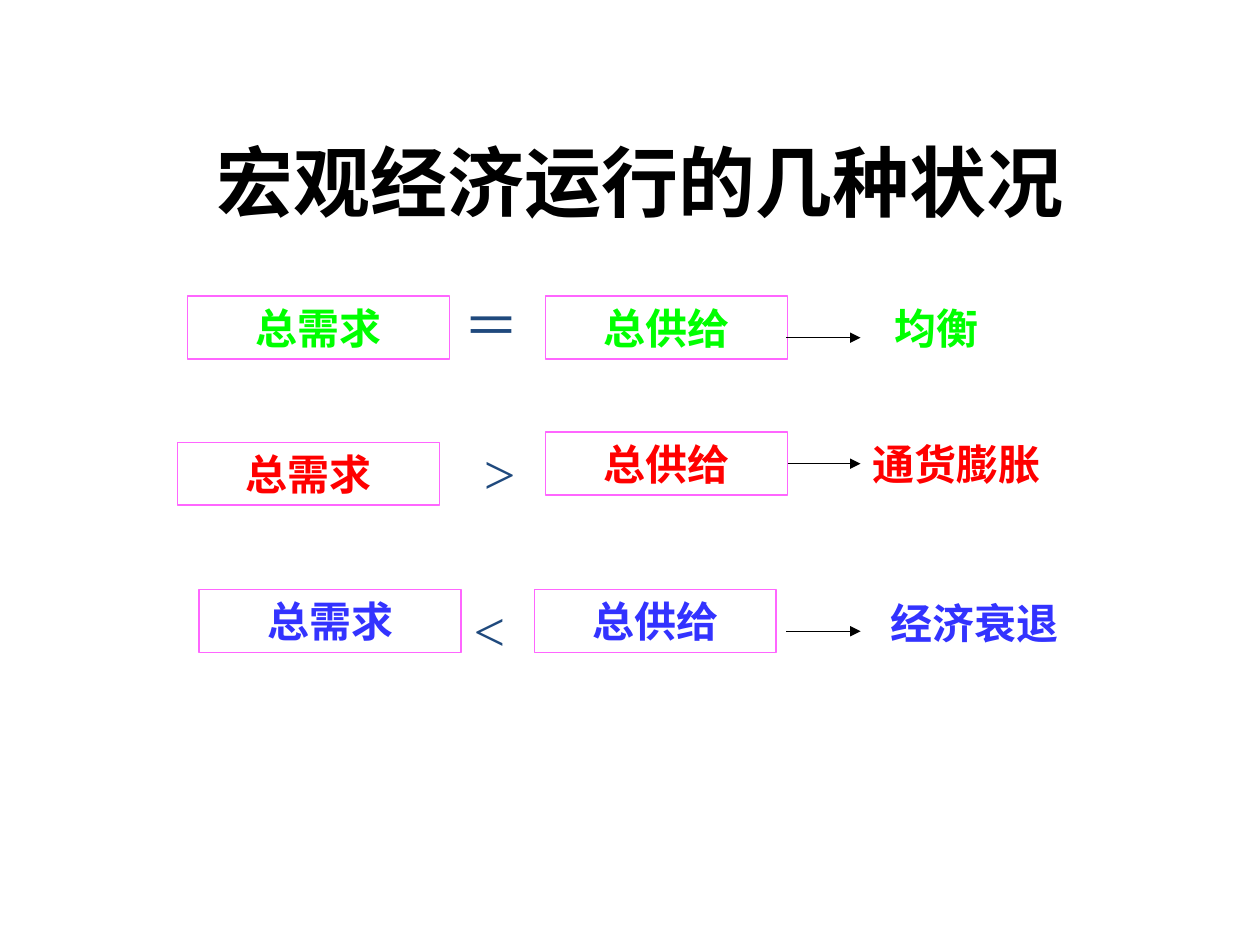
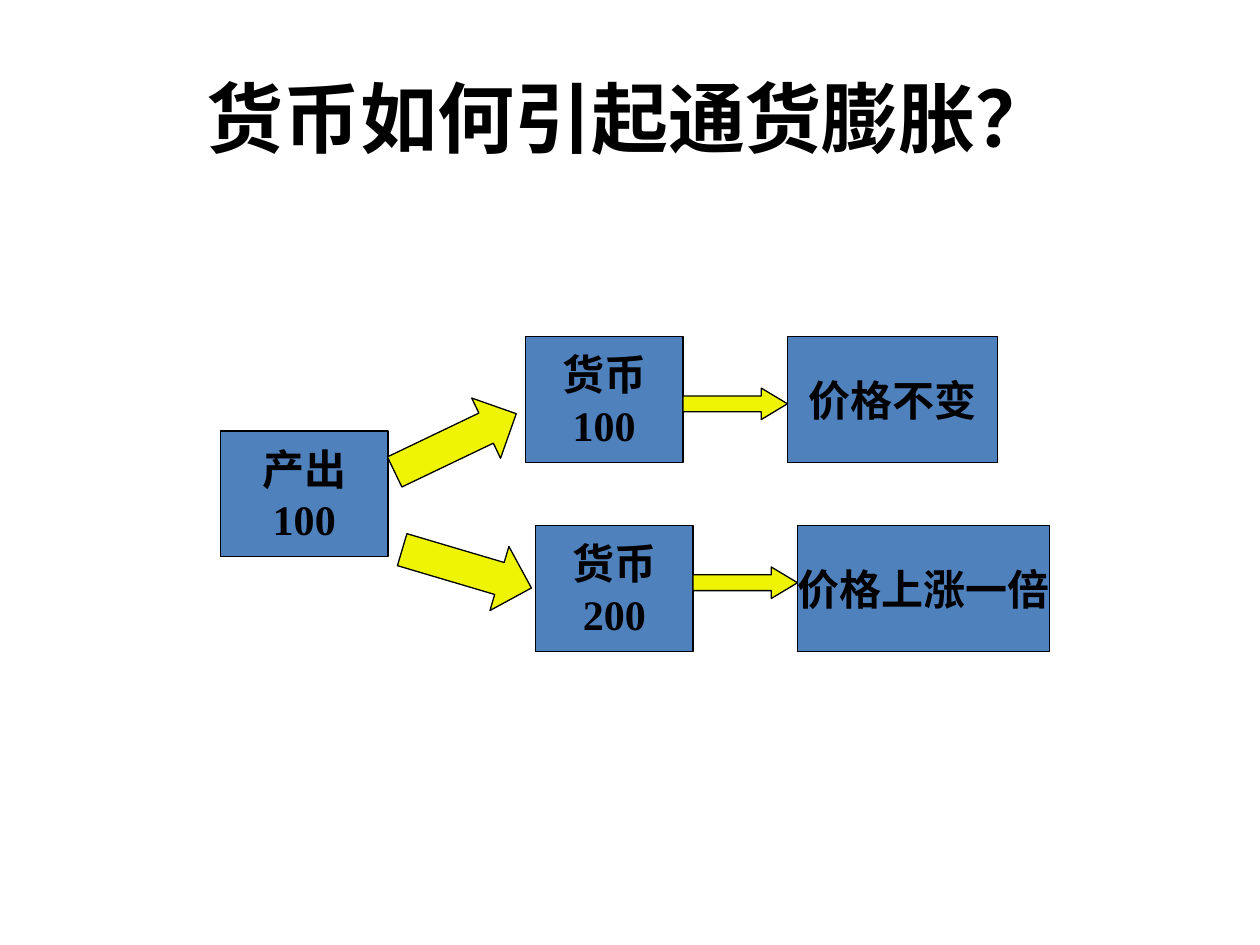
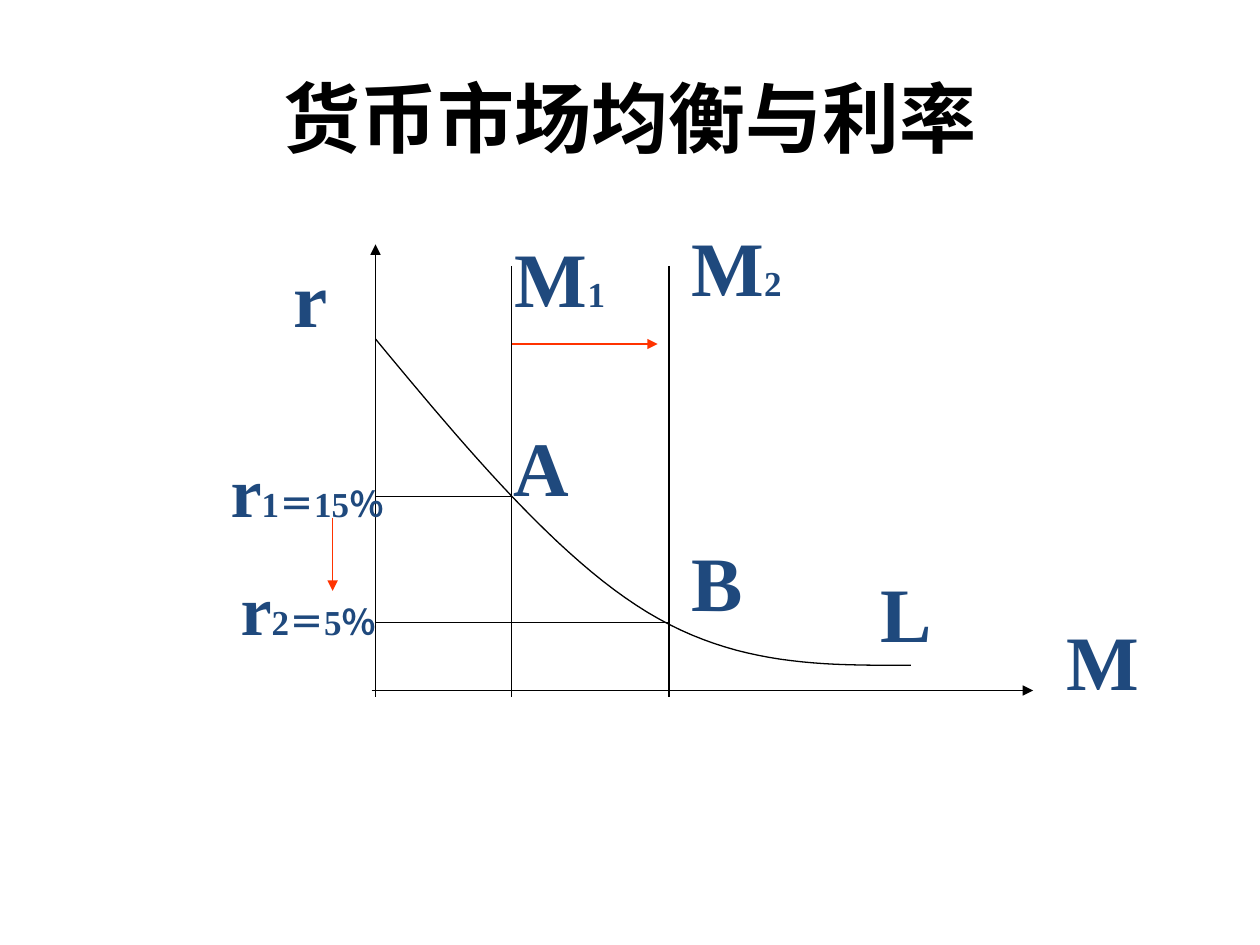
from typing import NamedTuple

from lxml import etree
from pptx import Presentation
from pptx.dml.color import RGBColor
from pptx.enum.shapes import MSO_CONNECTOR, MSO_SHAPE
from pptx.enum.text import MSO_ANCHOR, MSO_AUTO_SIZE, PP_ALIGN
from pptx.oxml.ns import qn
from pptx.shapes.autoshape import Shape
from pptx.shapes.connector import Connector
from pptx.slide import Slide
from pptx.text.text import TextFrame
from pptx.util import Inches, Pt

RECTANGLE = MSO_SHAPE.RECTANGLE
RIGHT_ARROW = MSO_SHAPE.RIGHT_ARROW
STRAIGHT = MSO_CONNECTOR.STRAIGHT
TOP, MIDDLE, BOTTOM = MSO_ANCHOR.TOP, MSO_ANCHOR.MIDDLE, MSO_ANCHOR.BOTTOM
FIXED_SIZE, GROW = MSO_AUTO_SIZE.NONE, MSO_AUTO_SIZE.SHAPE_TO_FIT_TEXT
CENTER = PP_ALIGN.CENTER

BLACK, NAVY, PINK = "000000", "1F497D", "FF66FF"
GREEN, RED, BLUE = "00FF00", "FF0000", "3333FF"
BOX_BLUE, YELLOW, ORANGE = "4F81BD", "EEF404", "FF3300"
TITLE_FONT, BODY_FONT = "Calibri", "Times New Roman"
LINE_WIDTH = Pt(0.75)


class Box(NamedTuple):
    left: float
    top: float
    width: float
    height: float


class Point(NamedTuple):
    x: float
    y: float


class Condition(NamedTuple):
    """One state of the economy: demand, sign, supply and result."""
    color: str
    demand: Point
    sign: str
    sign_box: Box
    supply: Point
    arrow_y: float
    result: str
    result_box: Box


class FlowBox(NamedTuple):
    text: str
    box: Box


class FlowArrow(NamedTuple):
    box: Box
    head: float
    rotation: float = 0


class GraphLabel(NamedTuple):
    text: str
    index: str
    box: Box
    size: int = 44


class GraphLine(NamedTuple):
    start: Point
    end: Point
    color: str = BLACK
    arrow: bool = False


CONDITIONS = [
    Condition(GREEN, Point(1.49, 2.35), "＝", Box(3.58, 2.26, 0.64, 0.64),
              Point(4.33, 2.35), 2.68, "均衡", Box(6.99, 2.35, 0.88, 0.5)),
    Condition(RED, Point(1.41, 3.51), ">", Box(3.74, 3.43, 0.45, 0.64),
              Point(4.33, 3.43), 3.68, "通货膨胀", Box(6.83, 3.43, 1.53, 0.5)),
    Condition(BLUE, Point(1.58, 4.68), "<", Box(3.66, 4.68, 0.45, 0.64),
              Point(4.24, 4.68), 5.01, "经济衰退", Box(6.97, 4.69, 1.53, 0.5)),
]
DEMAND_WIDTH, SUPPLY_WIDTH, CONDITION_HEIGHT = 2.08, 1.92, 0.5
ARROW_START, ARROW_END = 6.24, 6.83

FLOW_BOXES = [
    FlowBox("产出\n100", Box(1.75, 3.42, 1.33, 1)),
    FlowBox("货币\n100", Box(4.17, 2.67, 1.25, 1)),
    FlowBox("货币\n200", Box(4.25, 4.17, 1.25, 1)),
    FlowBox("价格不变", Box(6.25, 2.67, 1.67, 1)),
    FlowBox("价格上涨一倍", Box(6.33, 4.17, 2, 1)),
]
FLOW_ARROWS = [
    FlowArrow(Box(3.08, 3.25, 1.07, 0.53), 0.5, -25.6),
    FlowArrow(Box(3.17, 4.25, 1.07, 0.53), 0.5, 16.5),
    FlowArrow(Box(5.42, 3.08, 0.83, 0.25), 0.83),
    FlowArrow(Box(5.5, 4.5, 0.83, 0.25), 0.83),
]

# Coordinates of the money market graph
AXIS_X, AXIS_Y, AXIS_FOOT = 2.98, 5.48, 5.53
M1_X, M2_X, SUPPLY_TOP = 4.06, 5.31, 2.11
R1_Y, R2_Y = 3.94, 4.94
GRAPH_LINES = [
    GraphLine(Point(AXIS_X, AXIS_FOOT), Point(AXIS_X, 1.94), arrow=True),
    GraphLine(Point(2.95, AXIS_Y), Point(8.2, AXIS_Y), arrow=True),
    GraphLine(Point(M1_X, SUPPLY_TOP), Point(M1_X, AXIS_FOOT)),
    GraphLine(Point(M2_X, SUPPLY_TOP), Point(M2_X, AXIS_FOOT)),
    GraphLine(Point(AXIS_X, R1_Y), Point(M1_X, R1_Y)),
    GraphLine(Point(AXIS_X, R2_Y), Point(M2_X, R2_Y)),
    GraphLine(Point(2.64, 4.11), Point(2.64, 4.69), ORANGE, True),
    GraphLine(Point(M1_X, 2.73), Point(5.22, 2.73), ORANGE, True),
]
GRAPH_LABELS = [
    GraphLabel("A", "", Box(3.98, 3.28, 0.64, 0.84)),
    GraphLabel("B", "", Box(5.39, 4.19, 0.61, 0.84)),
    GraphLabel("r", "", Box(2.23, 1.94, 0.47, 0.84)),
    GraphLabel("M", "1", Box(3.98, 1.78, 0.93, 0.84)),
    GraphLabel("M", "2", Box(5.38, 1.69, 0.93, 0.84)),
    GraphLabel("r", "1＝15％", Box(1.63, 3.5, 1.62, 0.77), 40),
    GraphLabel("r", "2＝5％", Box(1.71, 4.44, 1.48, 0.77), 40),
    GraphLabel("L", "", Box(6.89, 4.44, 0.61, 0.84)),
    GraphLabel("M", "", Box(8.37, 4.82, 0.77, 0.84)),
]
INDEX_SIZE = 20
# Two cubic curves, each with four control points
LIQUIDITY_CURVES = [
    [Point(2.98, 2.69), Point(3.7, 3.56), Point(4.43, 4.43), Point(5.14, 4.86)],
    [Point(5.14, 4.86), Point(5.85, 5.29), Point(6.54, 5.28), Point(7.23, 5.28)],
]
CURVE_STEPS = 24


def rgb(color: str) -> RGBColor:
    return RGBColor.from_string(color)


def lengths(values: tuple) -> list:
    return [Inches(value) for value in values]


def write(frame: TextFrame, text: str, *, index: str = "", size: int = 24,
          color: str = BLACK, font: str = BODY_FONT, bold: bool = True,
          anchor: MSO_ANCHOR = TOP, wrap: bool = False,
          fit: MSO_AUTO_SIZE = FIXED_SIZE) -> None:
    """Write centred paragraphs; index follows each line in small type."""
    frame.word_wrap = wrap
    frame.auto_size = fit
    frame.vertical_anchor = anchor
    for number, line in enumerate(text.split("\n")):
        paragraph = frame.add_paragraph() if number else frame.paragraphs[0]
        paragraph.alignment = CENTER
        pieces = [(line, size)] + ([(index, INDEX_SIZE)] if index else [])
        for piece, piece_size in pieces:
            run = paragraph.add_run()
            run.text = piece
            run.font.size = Pt(piece_size)
            run.font.bold = bold
            run.font.name = font
            run.font.color.rgb = rgb(color)


def add_label(slide: Slide, box: Box, text: str, fit: MSO_AUTO_SIZE = GROW,
              **text_format) -> None:
    frame = slide.shapes.add_textbox(*lengths(box)).text_frame
    write(frame, text, fit=fit, **text_format)


def add_title(slide: Slide, text: str, box: Box = Box(0.5, 0.3, 9, 1.25),
              anchor: MSO_ANCHOR = MIDDLE) -> None:
    add_label(slide, box, text, FIXED_SIZE, size=44, font=TITLE_FONT,
              anchor=anchor, wrap=True)


def style_outline(shape: Shape, line: str, fill: str = "") -> None:
    shape.shadow.inherit = False
    shape.line.color.rgb = rgb(line)
    shape.line.width = LINE_WIDTH
    if fill:
        shape.fill.solid()
        shape.fill.fore_color.rgb = rgb(fill)
    else:
        shape.fill.background()


def add_box(slide: Slide, box: Box, text: str, line: str, fill: str = "",
            **text_format) -> Shape:
    shape = slide.shapes.add_shape(RECTANGLE, *lengths(box))
    style_outline(shape, line, fill)
    write(shape.text_frame, text, **text_format)
    return shape


def add_line(slide: Slide, line: GraphLine) -> Connector:
    connector = slide.shapes.add_connector(STRAIGHT, *lengths(line.start + line.end))
    connector.line.color.rgb = rgb(line.color)
    connector.line.width = LINE_WIDTH
    if line.arrow:
        outline = connector.line._get_or_add_ln()
        etree.SubElement(outline, qn("a:tailEnd"), type="triangle")
    etree.SubElement(connector._element.spPr, qn("a:effectLst"))
    return connector


def curve_point(controls: list[Point], t: float) -> Point:
    weights = ((1 - t) ** 3, 3 * t * (1 - t) ** 2, 3 * t ** 2 * (1 - t), t ** 3)
    return Point(sum(w * p.x for w, p in zip(weights, controls)),
                 sum(w * p.y for w, p in zip(weights, controls)))


def build_conditions(slide: Slide) -> None:
    add_title(slide, "宏观经济运行的几种状况", Box(0.83, 0.6, 8.5, 1.25), BOTTOM)
    for row in CONDITIONS:
        add_box(slide, Box(*row.demand, DEMAND_WIDTH, CONDITION_HEIGHT),
                "总需求", PINK, color=row.color, wrap=True)
        supply = add_box(slide, Box(*row.supply, SUPPLY_WIDTH, CONDITION_HEIGHT),
                         "总供给", PINK, color=row.color, wrap=True)
        add_label(slide, row.sign_box, row.sign, size=32, color=NAVY, bold=False)
        arrow = add_line(slide, GraphLine(Point(ARROW_START, row.arrow_y),
                                          Point(ARROW_END, row.arrow_y), arrow=True))
        # Only an arrow level with the middle of the supply box is joined to it
        if abs(row.arrow_y - row.supply.y - CONDITION_HEIGHT / 2) < 0.01:
            arrow.begin_connect(supply, 3)
        add_label(slide, row.result_box, row.result, color=row.color)


def build_money_flow(slide: Slide) -> None:
    add_title(slide, "货币如何引起通货膨胀？")
    for item in FLOW_BOXES:
        add_box(slide, item.box, item.text, BLACK, BOX_BLUE, anchor=MIDDLE)
    for item in FLOW_ARROWS:
        arrow = slide.shapes.add_shape(RIGHT_ARROW, *lengths(item.box))
        arrow.adjustments[1] = item.head
        arrow.rotation = item.rotation
        style_outline(arrow, BLACK, YELLOW)


def build_money_market(slide: Slide) -> None:
    add_title(slide, "货币市场均衡与利率")
    for line in GRAPH_LINES:
        add_line(slide, line)

    # Liquidity preference curve
    points = [lengths(curve_point(controls, step / CURVE_STEPS))
              for controls in LIQUIDITY_CURVES for step in range(CURVE_STEPS + 1)]
    builder = slide.shapes.build_freeform(*points[0])
    builder.add_line_segments(points[1:], close=False)
    style_outline(builder.convert_to_shape(), BLACK)

    for label in GRAPH_LABELS:
        add_label(slide, label.box, label.text, index=label.index,
                  size=label.size, color=NAVY)


def main() -> None:
    deck = Presentation()
    deck.slide_width, deck.slide_height = Inches(10), Inches(7.5)
    for build in (build_conditions, build_money_flow, build_money_market):
        build(deck.slides.add_slide(deck.slide_layouts[6]))
    deck.save("out.pptx")


if __name__ == "__main__":
    main()
